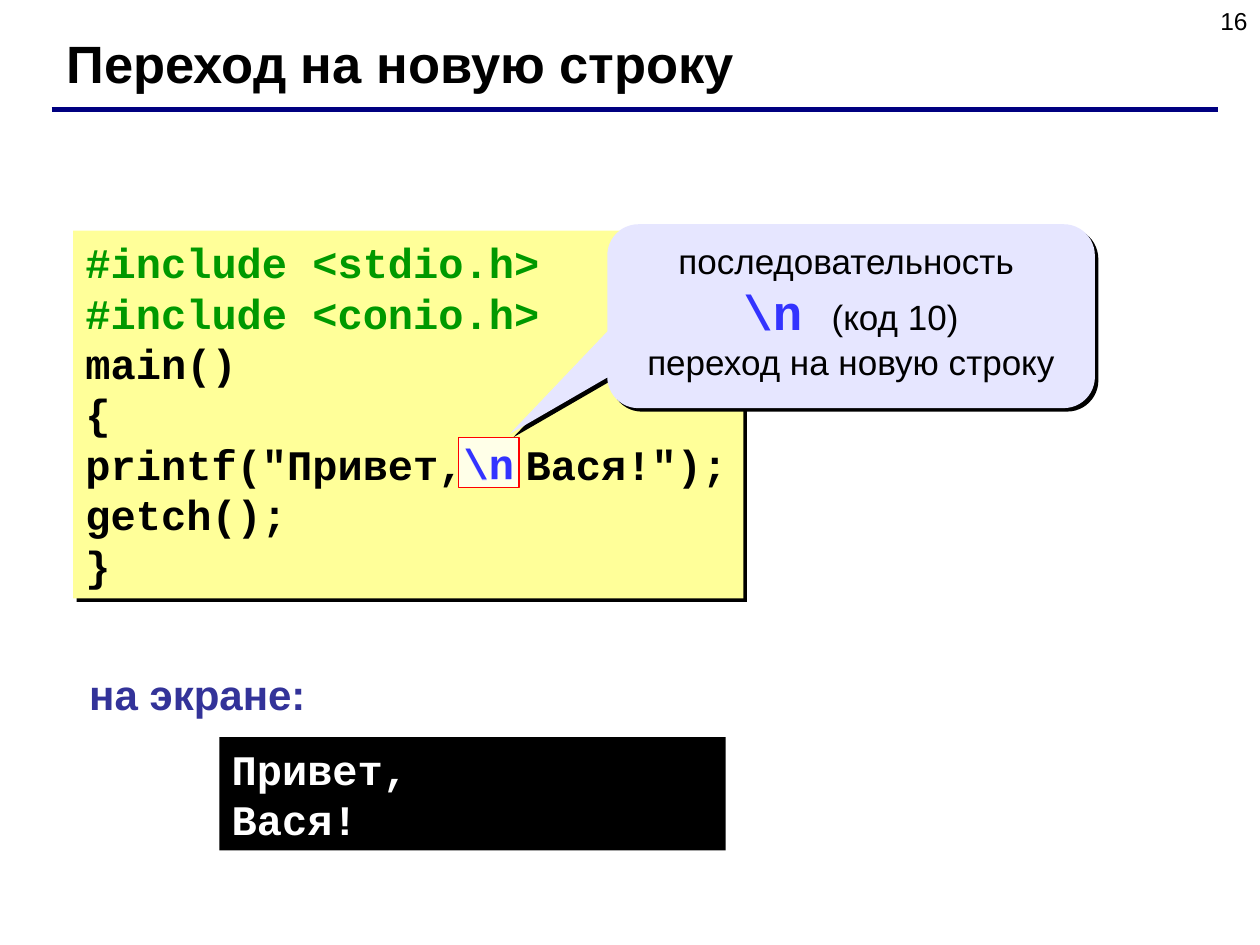
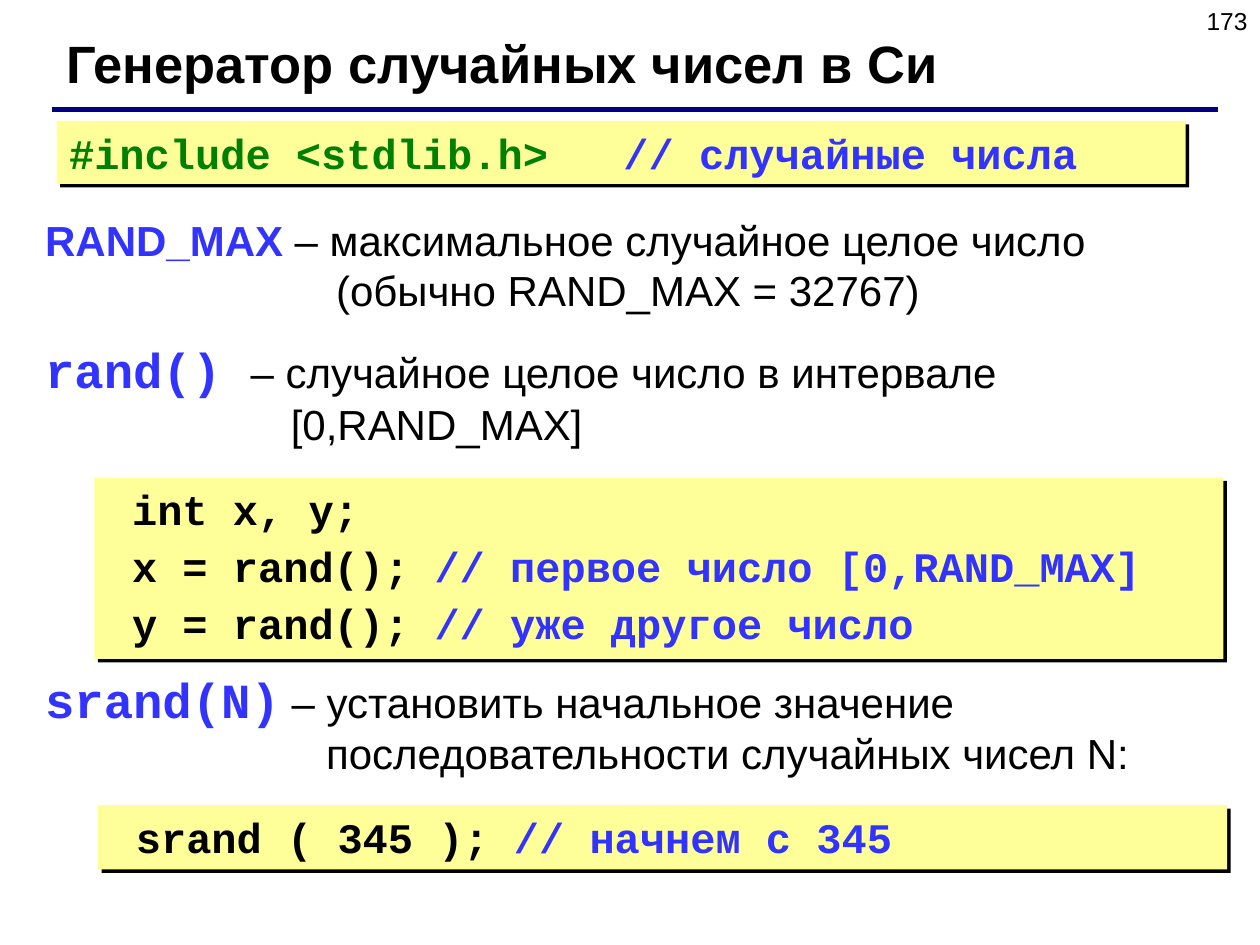
from dataclasses import dataclass, replace

from lxml.etree import SubElement
from pptx import Presentation
from pptx.dml.color import RGBColor
from pptx.enum.shapes import MSO_CONNECTOR, MSO_SHAPE as SHAPE
from pptx.enum.text import MSO_ANCHOR as ANCHOR, PP_ALIGN as ALIGN
from pptx.oxml.ns import qn
from pptx.util import Inches, Pt


@dataclass(frozen=True)
class Theme:
    sans: str = "Arial"
    mono: str = "Courier New"
    black: str = "000000"
    white: str = "FFFFFF"
    rule: str = "000080"
    paper: str = "FFFF99"
    bubble: str = "E6E6FF"
    accent: str = "3333FF"
    heading: str = "333399"
    frame: str = "FF0000"
    stdio: str = "009900"
    stdlib: str = "008000"
    page: int = 14
    note: int = 20
    body: int = 24
    keyword: int = 28
    title: int = 30


T = Theme()


@dataclass(frozen=True)
class Run:
    text: str
    font: str = T.sans
    size: int = T.body
    color: str = T.black
    bold: bool = False


@dataclass(frozen=True)
class Para:
    runs: tuple[Run, ...]
    before: float = 0
    indent: float = 0
    tab: float = 0


@dataclass(frozen=True)
class Box:
    left: float
    top: float
    width: float
    height: float


def code(text: str, color: str = T.black) -> Run:
    return Run(text, T.mono, T.body, color, True)


def keyword(text: str) -> Run:
    return replace(code(text, T.accent), size=T.keyword)


def para(*runs: Run, before: float = 0, indent: float = 0, tab: float = 0) -> Para:
    return Para(runs, before, indent, tab)


def write(sp, paras: list[Para], *, align=ALIGN.LEFT, anchor=ANCHOR.TOP,
          wrap: bool = True, inset: tuple[float, float] = (0.1, 0.05)) -> None:
    tf = sp.text_frame
    tf.word_wrap, tf.vertical_anchor = wrap, anchor
    tf.margin_left = tf.margin_right = Inches(inset[0])
    tf.margin_top = tf.margin_bottom = Inches(inset[1])
    for i, item in enumerate(paras):
        p = tf.add_paragraph() if i else tf.paragraphs[0]
        p.alignment = align
        p.space_before = Pt(item.before)
        pPr = p._p.get_or_add_pPr()
        if item.indent:
            pPr.set("marL", str(Inches(item.indent)))
        if item.tab:
            tabs = SubElement(pPr, qn("a:tabLst"))
            SubElement(tabs, qn("a:tab"), pos=str(Inches(item.tab)), algn="l")
        for run in item.runs:
            if run.text == "\n":
                p.add_line_break()
                continue
            r = p.add_run()
            r.text = run.text
            r.font.name, r.font.size, r.font.bold = run.font, Pt(run.size), run.bold
            r.font.color.rgb = RGBColor.from_string(run.color)


def add_text(s, box: Box, paras: list[Para], **layout) -> None:
    sp = s.shapes.add_textbox(Inches(box.left), Inches(box.top),
                              Inches(box.width), Inches(box.height))
    write(sp, paras, **layout)


def add_panel(s, box: Box, fill: str, paras: list[Para], *, kind=SHAPE.RECTANGLE,
              shadow: bool = False, line: str = "", alpha: int = 100, **layout):
    sp = s.shapes.add_shape(kind, Inches(box.left), Inches(box.top),
                            Inches(box.width), Inches(box.height))
    sp.fill.solid()
    sp.fill.fore_color.rgb = RGBColor.from_string(fill)
    if alpha < 100:
        rgb = sp._element.spPr.find(f".//{qn('a:srgbClr')}")
        SubElement(rgb, qn("a:alpha"), val=str(alpha * 1000))
    if line:
        sp.line.color.rgb = RGBColor.from_string(line)
        sp.line.width = Pt(0.75)
    else:
        sp.line.fill.background()
    sp.shadow.inherit = False
    if shadow:
        effects = sp._element.spPr.find(qn("a:effectLst"))
        outer = SubElement(effects, qn("a:outerShdw"), dist=str(Pt(2.8)),
                           dir=str(45 * 60000), algn="ctr", rotWithShape="0")
        SubElement(outer, qn("a:srgbClr"), val=T.black)
    write(sp, paras, **layout)
    return sp


def add_code(s, box: Box, paras: list[Para], **layout) -> None:
    add_panel(s, box, T.paper, paras, shadow=True, **layout)


def add_base(prs, title: str, page: int):
    s = prs.slides.add_slide(prs.slide_layouts[6])
    add_text(s, Box(7.67, 0, 2.33, 0.52), [para(Run(str(page), size=T.page))],
             align=ALIGN.RIGHT)
    rule = s.shapes.add_connector(MSO_CONNECTOR.STRAIGHT, Inches(0.41), Inches(0.87),
                                  Inches(9.67), Inches(0.87))
    rule.line.color.rgb = RGBColor.from_string(T.rule)
    rule.line.width = Pt(3)
    SubElement(rule._element.spPr, qn("a:effectLst"))
    add_text(s, Box(0.43, 0.2, 8.9, 0.6),
             [para(Run(title, size=T.title, bold=True))], anchor=ANCHOR.MIDDLE)
    return s


def add_newline_slide(prs) -> None:
    s = add_base(prs, "Переход на новую строку", 16)
    includes = [para(code(f"#include <{name}.h>", T.stdio)) for name in ("stdio", "conio")]
    printf = para(code('printf("Привет,'), code("\\n", T.accent),
                  Run(" ", bold=True), code('Вася!");'))
    add_code(s, Box(0.58, 1.83, 5.32, 2.92),
             [*includes, para(code("main()")), para(code("{")), printf,
              para(code("getch();")), para(code("}"))], wrap=False)
    add_panel(s, Box(1.74, 5.85, 4.02, 0.9), T.black,
              [para(code(text, T.white)) for text in ("Привет,", "Вася!")])
    add_text(s, Box(0.61, 5.26, 2.3, 0.5),
             [para(Run("на экране:", color=T.heading, bold=True))])
    callout = add_panel(
        s, Box(4.82, 1.78, 3.87, 1.46), T.bubble,
        [para(Run("последовательность ", size=T.note), Run("\n"),
              keyword("\\n "), Run("(код 10)", size=T.note)),
         para(Run("переход на новую строку", size=T.note))],
        kind=SHAPE.ROUNDED_RECTANGULAR_CALLOUT, shadow=True, align=ALIGN.CENTER)
    for i, value in enumerate((-0.7, 0.64, 0.17)):
        callout.adjustments[i] = value
    add_panel(s, Box(3.64, 3.47, 0.48, 0.4), T.white, [para(code("\\n", T.accent))],
              line=T.frame, alpha=78, wrap=False, inset=(0.04, 0))


def add_random_slide(prs) -> None:
    s = add_base(prs, "Генератор случайных чисел в Си", 173)
    add_text(s, Box(0.26, 1.65, 9.74, 4.72), [
        para(Run("RAND_MAX", color=T.accent, bold=True),
             Run(" – максимальное случайное целое число")),
        para(Run("(обычно RAND_MAX = 32767)"), indent=2.31),
        para(keyword("rand() "), Run("– случайное целое число в интервале"), before=14),
        para(Run("[0,RAND_MAX]"), indent=1.95),
        para(keyword("srand(N)"), Run(" – установить начальное значение"), before=126),
        para(Run("последовательности случайных чисел N:"), indent=2.23),
    ])
    add_code(s, Box(0.45, 0.96, 8.96, 0.5),
             [para(code("#include <stdlib.h>\t", T.stdlib),
                   code("// случайные числа", T.accent), tab=4.4)])
    calls = (("x", "первое число [0,RAND_MAX]"), ("y", "уже другое число"))
    add_code(s, Box(0.75, 3.79, 8.96, 1.44),
             [para(code(" int x, y;")),
              *(para(code(f" {name} = rand(); "), code(f"// {remark}", T.accent), before=3.6)
                for name, remark in calls)])
    add_code(s, Box(0.78, 6.39, 8.96, 0.51),
             [para(code(" srand ( 345 ); "), code("// начнем с 345", T.accent))])


def main() -> None:
    """Build both slides and save the presentation."""
    prs = Presentation()
    prs.slide_width, prs.slide_height = Inches(10), Inches(7.5)
    add_newline_slide(prs)
    add_random_slide(prs)
    prs.save("out.pptx")


if __name__ == "__main__":
    main()
